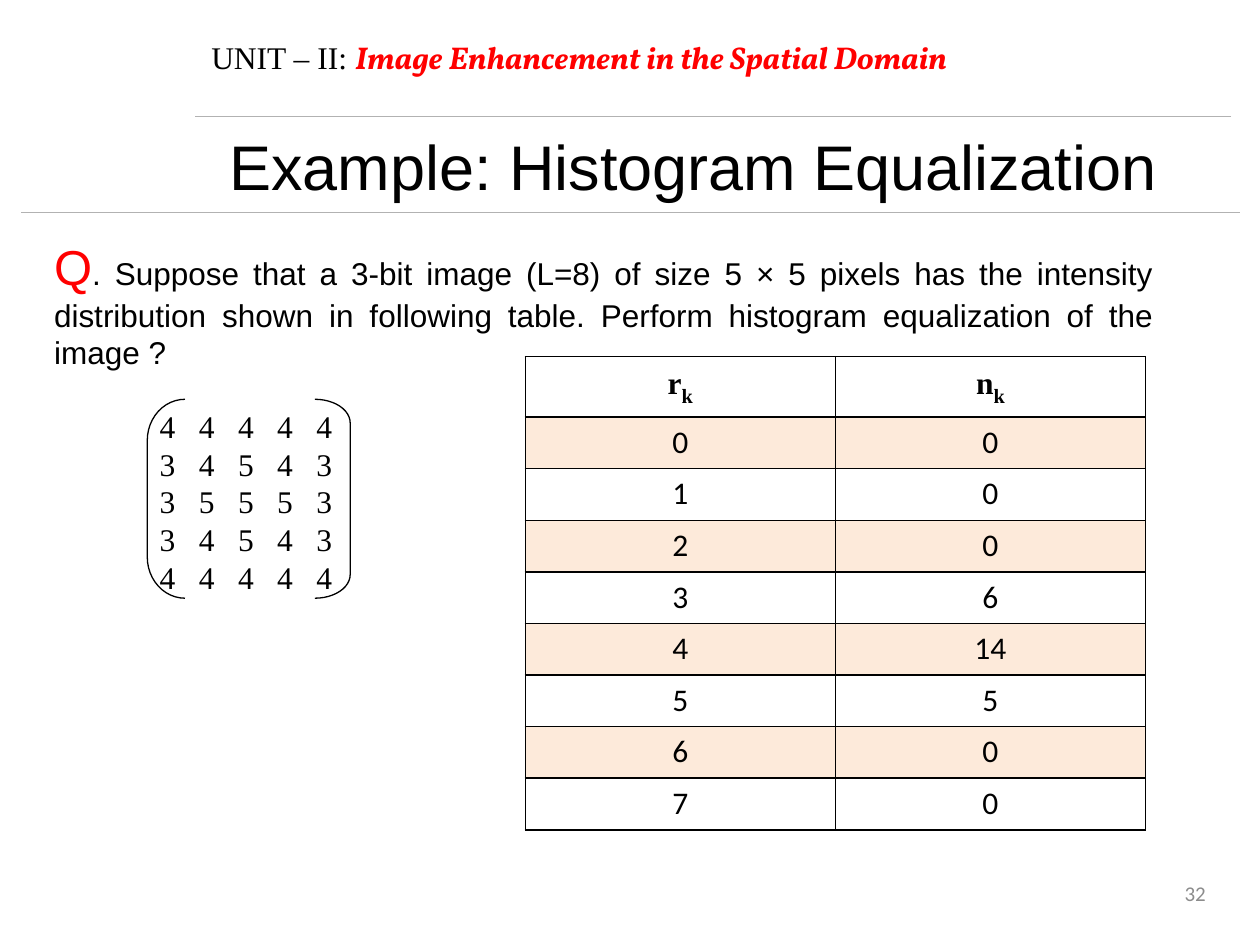
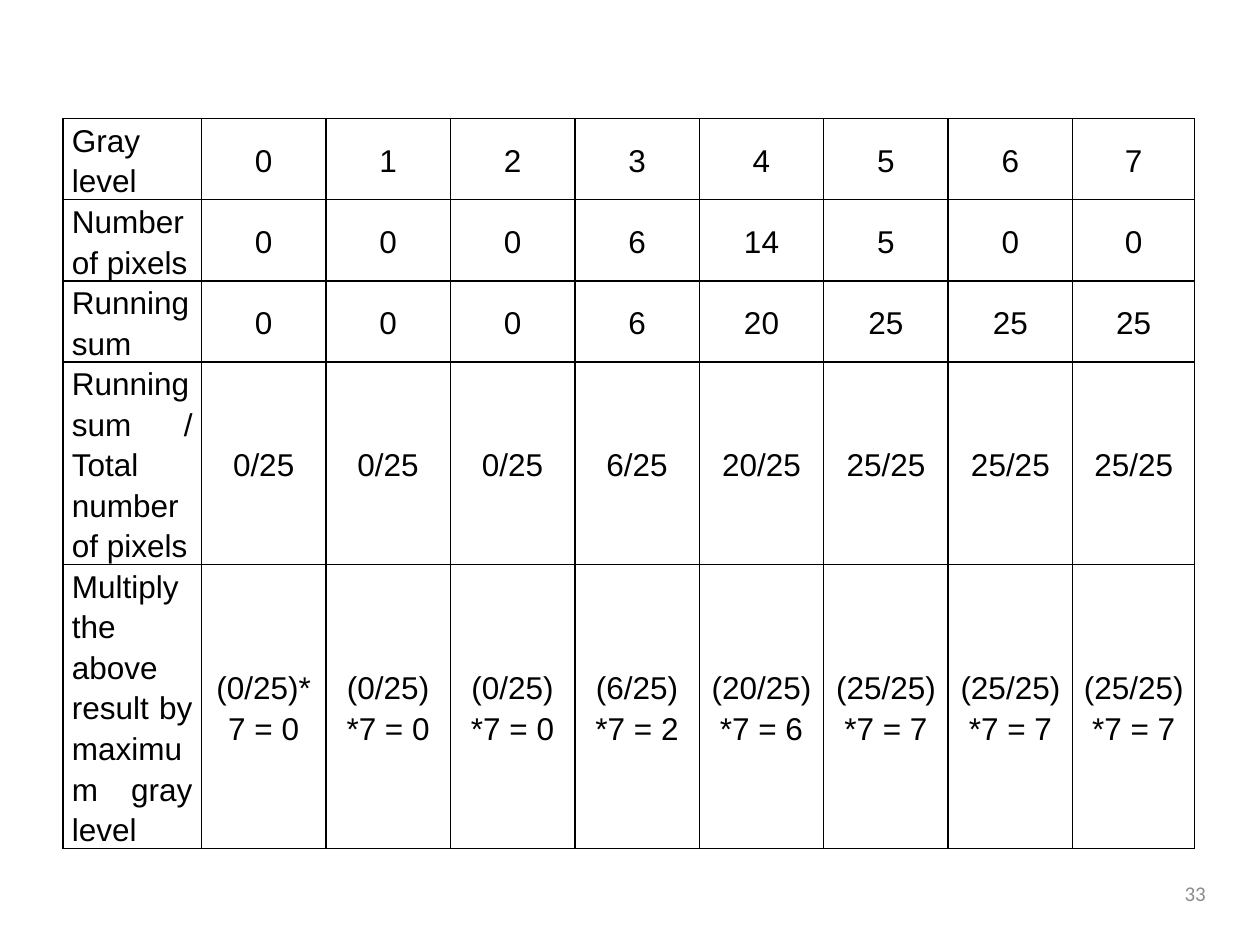
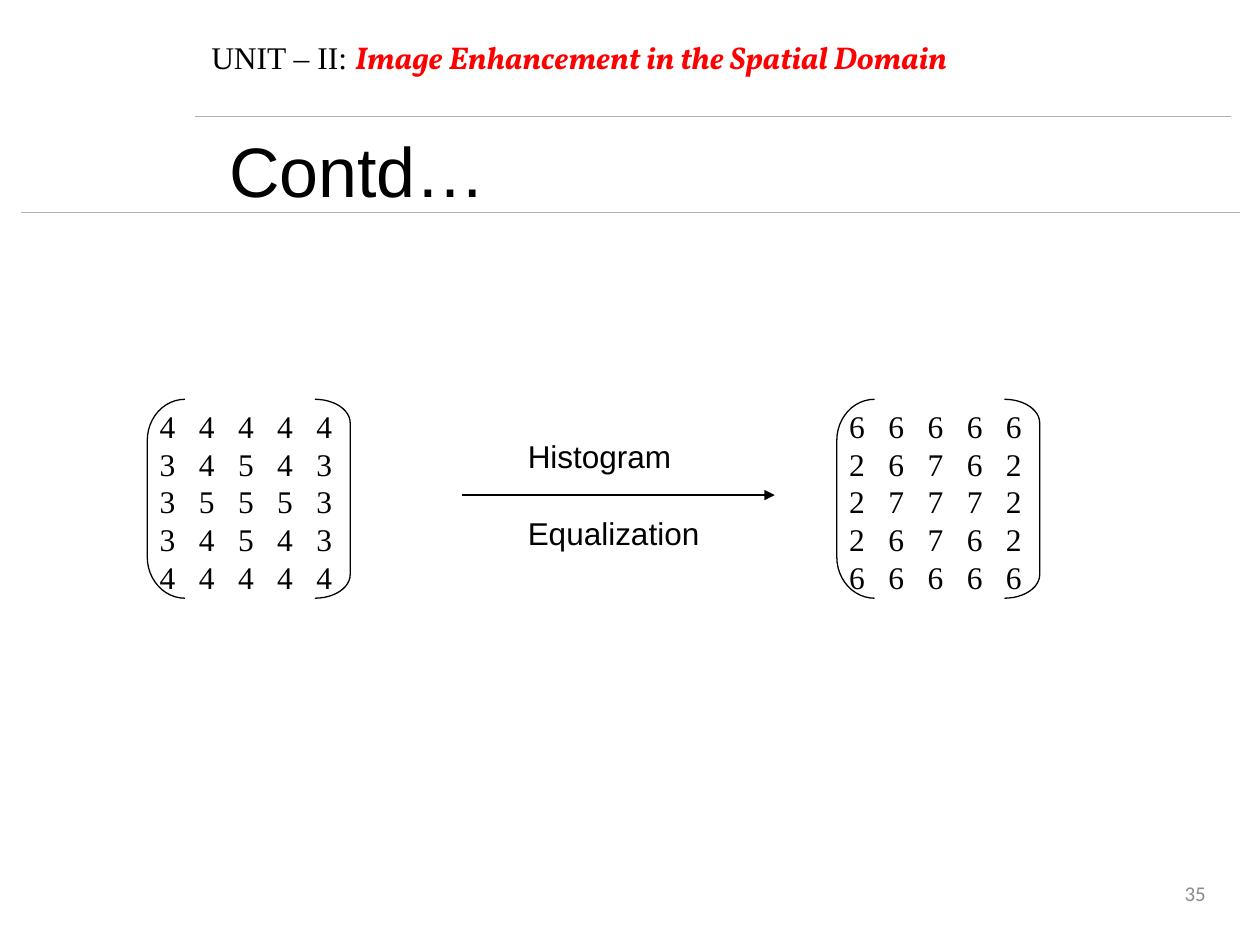
from dataclasses import dataclass, replace
from itertools import accumulate

from lxml.etree import SubElement
from pptx import Presentation
from pptx.dml.color import RGBColor
from pptx.enum.shapes import MSO_CONNECTOR, MSO_SHAPE
from pptx.enum.text import MSO_ANCHOR, MSO_AUTO_SIZE, PP_ALIGN
from pptx.oxml.ns import qn
from pptx.util import Cm, Pt


@dataclass(frozen=True)
class Face:
    """Look of one run of text."""

    font: str
    size: int
    colour: str = "000000"
    bold: bool = False
    italic: bool = False
    baseline: int = 0
    shadow: bool = False


@dataclass(frozen=True)
class Theme:
    """Colours and type sizes of the lecture."""

    ink: str = "000000"
    paper: str = "FFFFFF"
    rule: str = "B2B2B2"
    band: str = "F79646"
    band_alpha: int = 20
    hairline: float = 0.25
    thin: float = 0.75
    grid: float = 1
    body: Face = Face("Arial", 18)
    title: Face = Face("Arial", 36, shadow=True)
    title_large: Face = Face("Arial", 40, shadow=True)
    question_mark: Face = Face("Arial", 28, "FF0000")
    serif: Face = Face("Times New Roman", 18)
    symbol: Face = Face("Times New Roman", 18, bold=True)
    index: Face = Face("Times New Roman", 20, bold=True, baseline=-25)
    unit: Face = Face("Vollkorn", 18, "FF0000", bold=True, italic=True)
    figure: Face = Face("Calibri", 18)
    page: Face = Face("Calibri", 12, "8C8C8C")


THEME = Theme()
LEVELS = range(8)
COUNTS = [0, 0, 0, 6, 14, 5, 0, 0]
BEFORE = ["44444", "34543", "35553", "34543", "44444"]
AFTER = ["66666", "26762", "27772", "26762", "66666"]
MATRIX_LEFT, MATRIX_TOP = 2.97, 8.05


def rgb(colour):
    """Turn RRGGBB into a colour value."""
    return RGBColor.from_string(colour)


def add_run(paragraph, words, face):
    """Append one run in the given face."""
    run = paragraph.add_run()
    run.text = words
    font = run.font
    font.name, font.size = face.font, Pt(face.size)
    font.bold, font.italic = face.bold, face.italic
    font.color.rgb = rgb(face.colour)
    properties = font._element
    if face.baseline:
        properties.set("baseline", str(face.baseline * 1000))
    if face.shadow:
        effects = SubElement(properties, qn("a:effectLst"))
        properties.find(qn("a:solidFill")).addnext(effects)
        cast = SubElement(effects, qn("a:outerShdw"), blurRad="38100", dist="38100", dir="2700000")
        SubElement(cast, qn("a:srgbClr"), val="C0C0C0")


def write(paragraph, runs, align=PP_ALIGN.LEFT):
    """Fill a paragraph with (words, face) runs."""
    paragraph.alignment = align
    for words, face in runs:
        add_run(paragraph, words, face)


def add_text(slide, box, lines, align=PP_ALIGN.LEFT, anchor=MSO_ANCHOR.TOP, grow=True):
    """Place a wrapped text box with one paragraph per line."""
    textbox = slide.shapes.add_textbox(*map(Cm, box))
    frame = textbox.text_frame
    frame.word_wrap = True
    frame.vertical_anchor = anchor
    frame.auto_size = MSO_AUTO_SIZE.SHAPE_TO_FIT_TEXT if grow else MSO_AUTO_SIZE.NONE
    for number, runs in enumerate(lines):
        paragraph = frame.add_paragraph() if number else frame.paragraphs[0]
        write(paragraph, runs, align)
    return frame


def add_line(slide, start, end, colour, width, arrow=False):
    """Draw a straight line, with an arrowhead at its end if asked."""
    line = slide.shapes.add_connector(MSO_CONNECTOR.STRAIGHT, *map(Cm, (*start, *end)))
    line.line.color.rgb = rgb(colour)
    line.line.width = Pt(width)
    if arrow:
        SubElement(line.line._get_or_add_ln(), qn("a:tailEnd"), type="triangle")
    SubElement(line._element.spPr, qn("a:effectLst"))


def add_page_number(slide, number):
    """Put the page number in the bottom right corner."""
    add_text(slide, (18.21, 17.35, 6.35, 1.32), [[(str(number), THEME.page)]],
             PP_ALIGN.RIGHT, MSO_ANCHOR.MIDDLE, grow=False)


def add_heading(slide, title, face):
    """Place the unit line, the two rules and the slide title."""
    unit = [("UNIT – II: ", THEME.serif), ("Image Enhancement in the Spatial Domain", THEME.unit)]
    add_text(slide, (4.01, 0.64, 19.48, 1.02), [unit])
    for left, right, height in ((0.43, 24.99, 4.27), (3.94, 24.82, 2.34)):
        add_line(slide, (right, height), (left, height), THEME.rule, THEME.hairline)
    add_text(slide, (4.37, 2.44, 19.96, 1.8), [[(title, face)]], PP_ALIGN.JUSTIFY)


def add_matrix(slide, left, top, rows):
    """Set rows of digits between two round brackets."""
    brackets = ((MSO_SHAPE.LEFT_BRACKET, 0, 0.76, 1.09), (MSO_SHAPE.RIGHT_BRACKET, 3.38, 0.71, 0.67))
    for preset, offset, width, curve in brackets:
        bracket = slide.shapes.add_shape(preset, Cm(left + offset), Cm(top), Cm(width), Cm(4.01))
        bracket.adjustments[0] = curve
        bracket.shadow.inherit = False
        bracket.fill.background()
        bracket.line.color.rgb = rgb(THEME.ink)
        bracket.line.width = Pt(THEME.thin)
    lines = [[("\t".join(row), THEME.serif)] for row in rows]
    frame = add_text(slide, (left, top, 4.04, 4.11), lines, anchor=MSO_ANCHOR.MIDDLE)
    frame.margin_right = 0
    for paragraph in frame.paragraphs:
        stops = SubElement(paragraph._p.get_or_add_pPr(), qn("a:tabLst"))
        for column in range(1, len(rows[0])):
            SubElement(stops, qn("a:tab"), pos=str(Cm(0.79 * column)), algn="l")


def add_grid(slide, left, top, widths, heights):
    """Add an unfilled table whose cells all have thin black borders."""
    size = (len(heights), len(widths))
    box = map(Cm, (left, top, sum(widths), sum(heights)))
    table = slide.shapes.add_table(*size, *box).table
    table.first_row = table.horz_banding = False
    for column, width in zip(table.columns, widths):
        column.width = Cm(width)
    for row, height in zip(table.rows, heights):
        row.height = Cm(height)
    for cell in table.iter_cells():
        cell.fill.background()
        properties = cell._tc.get_or_add_tcPr()
        for place, side in enumerate("LRTB"):
            border = SubElement(properties, qn(f"a:ln{side}"), w=str(Pt(THEME.grid)))
            properties.insert(place, border)
            paint = SubElement(border, qn("a:solidFill"))
            SubElement(paint, qn("a:srgbClr"), val=THEME.ink)
    return table


def add_distribution(slide, left, top):
    """Tabulate the number of pixels at each intensity."""
    table = add_grid(slide, left, top, [6.25] * 2, [1.09] + [1.04] * len(COUNTS))
    for column, symbol in enumerate("rn"):
        heading = table.cell(0, column).text_frame.paragraphs[0]
        write(heading, [(symbol, THEME.symbol), ("k", THEME.index)], PP_ALIGN.CENTER)
    for row, pair in enumerate(zip(LEVELS, COUNTS), 1):
        for column, value in enumerate(pair):
            cell = table.cell(row, column)
            write(cell.text_frame.paragraphs[0], [(str(value), THEME.figure)], PP_ALIGN.CENTER)
            if row % 2:
                cell.fill.solid()
                cell.fill.fore_color.rgb = rgb(THEME.band)
                tint = cell._tc.tcPr.find(qn("a:solidFill"))[0]
                SubElement(tint, qn("a:alpha"), val=str(THEME.band_alpha * 1000))


def add_equalization_steps(slide, left, top):
    """Work out the new gray levels step by step in a table."""
    total, highest = sum(COUNTS), LEVELS[-1]
    sums = list(accumulate(COUNTS))
    products = [f"({part}/{total}){' ' if level else ''}*{highest} = {round(part / total * highest)}"
                for level, part in zip(LEVELS, sums)]
    steps = [
        ("Gray level", LEVELS),
        ("Number of pixels", COUNTS),
        ("Running sum", sums),
        ("Running sum / Total number of pixels", [f"{part}/{total}" for part in sums]),
        ("Multiply the above result by maximum gray level", products),
    ]
    table = add_grid(slide, left, top, [2.79] + [2.51] * 7 + [2.46], [1.07] * 3 + [2.69, 3.78])
    for row, (label, values) in enumerate(steps):
        for column, entry in enumerate([label, *values]):
            cell = table.cell(row, column)
            cell.margin_left = cell.margin_right = Cm(0.18)
            cell.margin_top = cell.margin_bottom = 0
            cell.vertical_anchor = MSO_ANCHOR.MIDDLE if column else MSO_ANCHOR.TOP
            paragraph = cell.text_frame.paragraphs[0]
            paragraph.line_spacing = 1.15
            align = PP_ALIGN.CENTER if column else PP_ALIGN.JUSTIFY
            write(paragraph, [(str(entry), THEME.body)], align)


def add_operation(slide, left, top):
    """Place the labelled arrow between the two matrices."""
    label = slide.shapes.add_shape(MSO_SHAPE.RECTANGLE, Cm(left + 1.07), Cm(top), Cm(4.24), Cm(2.54))
    label.shadow.inherit = False
    label.fill.solid()
    label.fill.fore_color.rgb = label.line.color.rgb = rgb(THEME.paper)
    label.line.width = Pt(THEME.thin)
    frame = label.text_frame
    frame.word_wrap = True
    frame.vertical_anchor = MSO_ANCHOR.TOP
    write(frame.paragraphs[0], [("Histogram", THEME.body)])
    below = frame.add_paragraph()
    below.space_before = Pt(22)
    write(below, [("Equalization", THEME.body)])
    add_line(slide, (left, top + 1.29), (left + 6.3, top + 1.29), THEME.ink, THEME.thin, arrow=True)


def build_question(slide):
    """Build the slide that states the exercise."""
    add_heading(slide, "Example: Histogram Equalization", THEME.title)
    question = [
        ("Q", THEME.question_mark),
        (". Suppose that a 3-bit image (L=8) of size 5 × 5 pixels has the intensity distribution "
         "shown in following table. Perform histogram equalization of the image ?", THEME.body),
    ]
    add_text(slide, (0.84, 4.65, 22.66, 2.24), [question], PP_ALIGN.JUSTIFY)
    add_distribution(slide, 10.59, 7.19)
    add_matrix(slide, MATRIX_LEFT, MATRIX_TOP, BEFORE)


def build_steps(slide):
    """Build the slide with the worked table."""
    add_equalization_steps(slide, 1.27, 2.39)


def build_result(slide):
    """Build the slide that compares the image before and after."""
    add_heading(slide, "Contd…", THEME.title_large)
    add_matrix(slide, MATRIX_LEFT, MATRIX_TOP, BEFORE)
    add_operation(slide, 9.32, 8.69)
    add_matrix(slide, MATRIX_LEFT + 13.9, MATRIX_TOP, AFTER)


def main():
    """Build the three slides and save them."""
    deck = Presentation()
    deck.slide_width, deck.slide_height = Cm(25.4), Cm(19.05)
    for number, build in ((32, build_question), (33, build_steps), (35, build_result)):
        slide = deck.slides.add_slide(deck.slide_layouts[6])
        add_page_number(slide, number)
        build(slide)
    deck.save("out.pptx")


if __name__ == "__main__":
    main()
